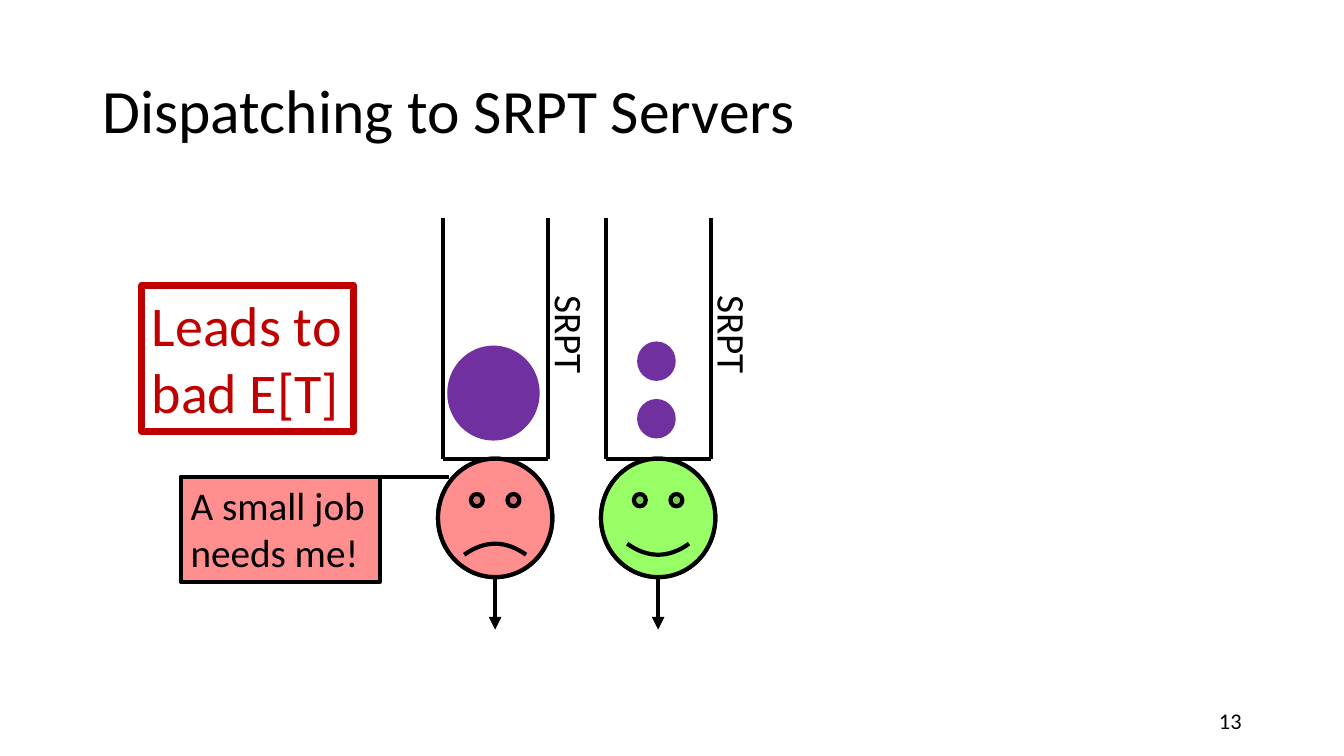
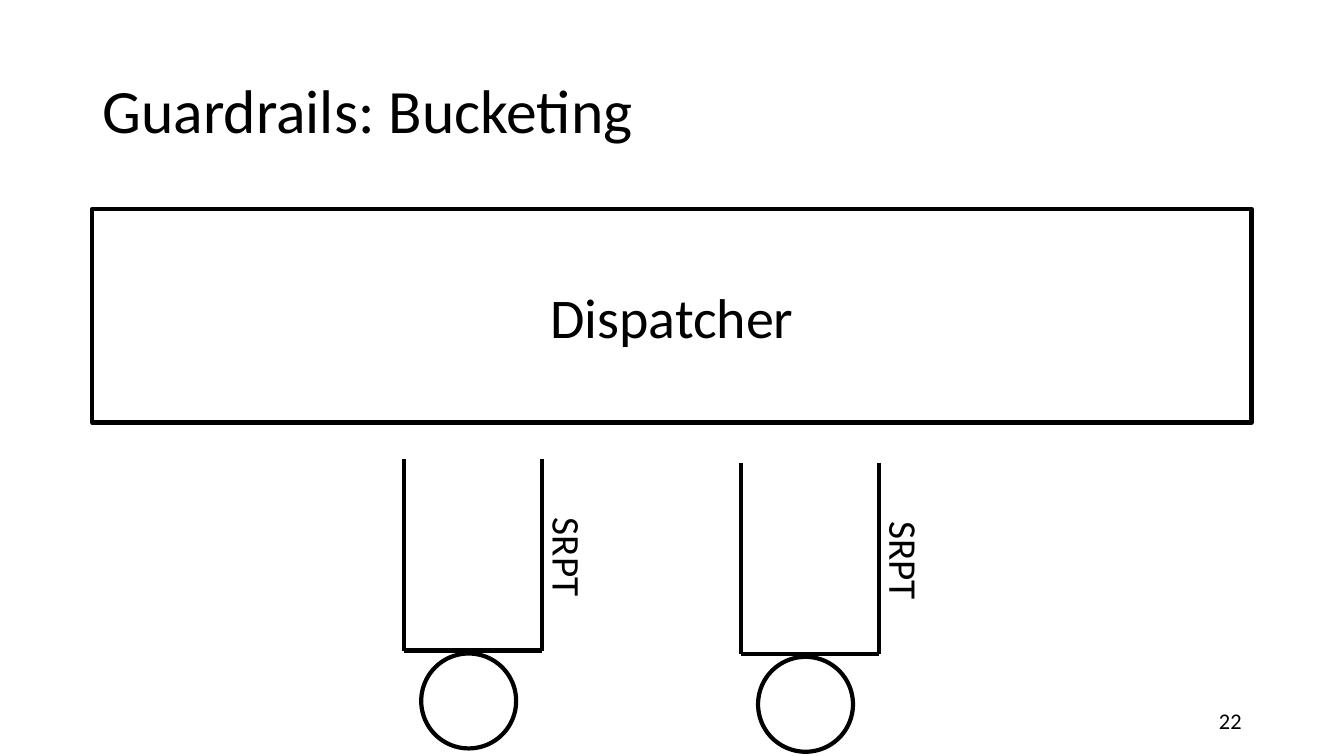
import dataclasses

import pptx
import pptx.dml.color
import pptx.enum.shapes
import pptx.enum.text
import pptx.oxml.ns
import pptx.oxml.xmlchemy
import pptx.util

SHAPE = pptx.enum.shapes.MSO_SHAPE
ANCHOR = pptx.enum.text.MSO_ANCHOR
ALIGN = pptx.enum.text.PP_ALIGN
COLUMNS, ROWS = 32, 18
UNIT = pptx.util.Inches(7.5) / ROWS


@dataclasses.dataclass(frozen=True)
class Theme:
    font: str = "Calibri"
    ink: str = "000000"
    paper: str = "FFFFFF"
    alert: str = "C00000"
    job: str = "7030A0"
    sad: str = "FF8F8F"
    happy: str = "99FF66"
    title_size: int = 44
    statement_size: int = 40
    label_size: int = 28
    number_size: int = 16
    stroke: int = 3
    heavy_stroke: int = 5


THEME = Theme()
TITLE_AREA = (2.2, 0.96, 27.6, 3.48)
NUMBER_AREA = (22.6, 16.68, 7.2, 0.96)

SRPT_SLIDE = {
    "title": "Dispatching to SRPT Servers",
    "number": "13",
    "queue": {"width": 2.5, "depth": 5.72, "server": (2.72, 2.82), "gap": 0,
              "shift": 0, "arrow": 1.25, "label": "SRPT",
              "label_size": (4.9, 1.36), "label_offset": (0.54, 4.04)},
    "lanes": [
        {"at": (10.54, 5.2), "mood": THEME.sad, "smile": -0.047,
         "jobs": [(9.36, 2.2, 2.26)]},
        {"at": (14.42, 5.2), "mood": THEME.happy, "smile": 0.047,
         "jobs": [(9.97, 0.92, 0.94), (8.6, 0.92, 0.94)]},
    ],
    "job_shift": -0.04,
    "plea": {"text": "A small job needs me!", "area": (4.3, 11.35, 4.75, 2.5),
             "pointer": (4.7, 10.7)},
    "verdict": {"text": "Leads to bad E[T]", "area": (3.38, 6.79, 5.04, 3.48)},
}

BUCKETING_SLIDE = {
    "title": "Guardrails: Bucketing",
    "number": "22",
    "queue": {"width": 3.28, "depth": 4.55, "server": (2.26, 2.26), "gap": 0.07,
              "shift": -0.1, "arrow": 0, "label": "SRPT",
              "label_size": (3.89, 1.8), "label_offset": (0.41, 3.1)},
    "lanes": [{"at": (9.62, 10.94)}, {"at": (17.64, 11.02)}],
    "dispatcher": {"text": "Dispatcher", "area": (2.2, 4.97, 27.6, 5.09)},
}


def grid(*units):
    return [pptx.util.Emu(round(unit * UNIT)) for unit in units]


def centred(x, y, width, height):
    return x - width / 2, y - height / 2, width, height


def rgb(color):
    return pptx.dml.color.RGBColor.from_string(color)


def write(frame, text, *, size, color=THEME.ink, align=ALIGN.LEFT,
          anchor=ANCHOR.TOP, spacing=None):
    frame.word_wrap = True
    frame.auto_size = pptx.enum.text.MSO_AUTO_SIZE.NONE
    frame.vertical_anchor = anchor
    paragraph = frame.paragraphs[0]
    paragraph.alignment = align
    paragraph.line_spacing = spacing
    run = paragraph.add_run()
    run.text = text
    run.font.name = THEME.font
    run.font.size = pptx.util.Pt(size)
    run.font.color.rgb = rgb(color)


def draw_shape(slide, kind, area, fill=None, line=THEME.ink, stroke=THEME.stroke):
    shape = slide.shapes.add_shape(kind, *grid(*area))
    shape.shadow.inherit = False
    if fill:
        shape.fill.solid()
        shape.fill.fore_color.rgb = rgb(fill)
    else:
        shape.fill.background()
    if line:
        shape.line.color.rgb = rgb(line)
        shape.line.width = pptx.util.Pt(stroke)
    else:
        shape.line.fill.background()
    return shape


def draw_line(slide, start, end, arrow=False):
    connector = slide.shapes.add_connector(
        pptx.enum.shapes.MSO_CONNECTOR.STRAIGHT, *grid(*start, *end))
    connector.line.color.rgb = rgb(THEME.ink)
    connector.line.width = pptx.util.Pt(THEME.stroke)
    properties = connector._element.spPr
    if arrow:
        head = pptx.oxml.xmlchemy.OxmlElement("a:tailEnd")
        head.set("type", "triangle")
        properties.find(pptx.oxml.ns.qn("a:ln")).append(head)
    properties.append(pptx.oxml.xmlchemy.OxmlElement("a:effectLst"))


def draw_queue(slide, queue, at):
    left, top = at
    right, bottom = left + queue["width"], top + queue["depth"]
    corners = [(left, top), (left, bottom), (right, bottom), (right, top)]
    for start, end in zip(corners, corners[1:]):
        draw_line(slide, start, end)
    middle = left + queue["width"] / 2 + queue["shift"]
    width, height = queue["server"]
    server_top = bottom + queue["gap"]
    server = (middle - width / 2, server_top, width, height)
    draw_shape(slide, SHAPE.OVAL, server)
    if queue["arrow"]:
        server_bottom = server_top + height
        draw_line(slide, (middle, server_bottom),
                  (middle, server_bottom + queue["arrow"]), arrow=True)
    across, down = queue["label_offset"]
    label = slide.shapes.add_textbox(
        *grid(*centred(right + across, top + down, *queue["label_size"])))
    label.rotation = 90
    write(label.text_frame, queue["label"], size=THEME.label_size)
    return middle, server


def start_slide(deck, content):
    slide = deck.slides.add_slide(deck.slide_layouts[5])
    title = slide.shapes.title
    title.left, title.top, title.width, title.height = grid(*TITLE_AREA)
    write(title.text_frame, content["title"], size=THEME.title_size,
          anchor=ANCHOR.MIDDLE, spacing=0.9)
    number = slide.shapes.add_textbox(*grid(*NUMBER_AREA))
    write(number.text_frame, content["number"], size=THEME.number_size,
          align=ALIGN.RIGHT, anchor=ANCHOR.MIDDLE)
    return slide


def build_srpt(deck, content):
    slide = start_slide(deck, content)
    for lane in content["lanes"]:
        middle, server = draw_queue(slide, content["queue"], lane["at"])
        for y, width, height in lane["jobs"]:
            draw_shape(slide, SHAPE.OVAL,
                       centred(middle + content["job_shift"], y, width, height),
                       fill=THEME.job, line=None)
        face = draw_shape(slide, SHAPE.SMILEY_FACE, server, fill=lane["mood"])
        face.adjustments[0] = lane["smile"]
    plea, verdict = content["plea"], content["verdict"]
    callout = draw_shape(slide, SHAPE.RECTANGLE, plea["area"], fill=THEME.sad)
    write(callout.text_frame, plea["text"], size=THEME.label_size)
    start, end = plea["pointer"]
    plea_top = plea["area"][1]
    draw_line(slide, (start, plea_top), (end, plea_top))
    warning = draw_shape(slide, SHAPE.RECTANGLE, verdict["area"],
                         line=THEME.alert, stroke=THEME.heavy_stroke)
    write(warning.text_frame, verdict["text"], size=THEME.statement_size,
          color=THEME.alert)


def build_bucketing(deck, content):
    slide = start_slide(deck, content)
    dispatcher = draw_shape(slide, SHAPE.RECTANGLE, content["dispatcher"]["area"],
                            fill=THEME.paper)
    write(dispatcher.text_frame, content["dispatcher"]["text"],
          size=THEME.statement_size, align=ALIGN.CENTER, anchor=ANCHOR.MIDDLE)
    for lane in content["lanes"]:
        draw_queue(slide, content["queue"], lane["at"])


def main():
    deck = pptx.Presentation()
    deck.slide_width, deck.slide_height = grid(COLUMNS, ROWS)
    build_srpt(deck, SRPT_SLIDE)
    build_bucketing(deck, BUCKETING_SLIDE)
    deck.save("out.pptx")


if __name__ == "__main__":
    main()
